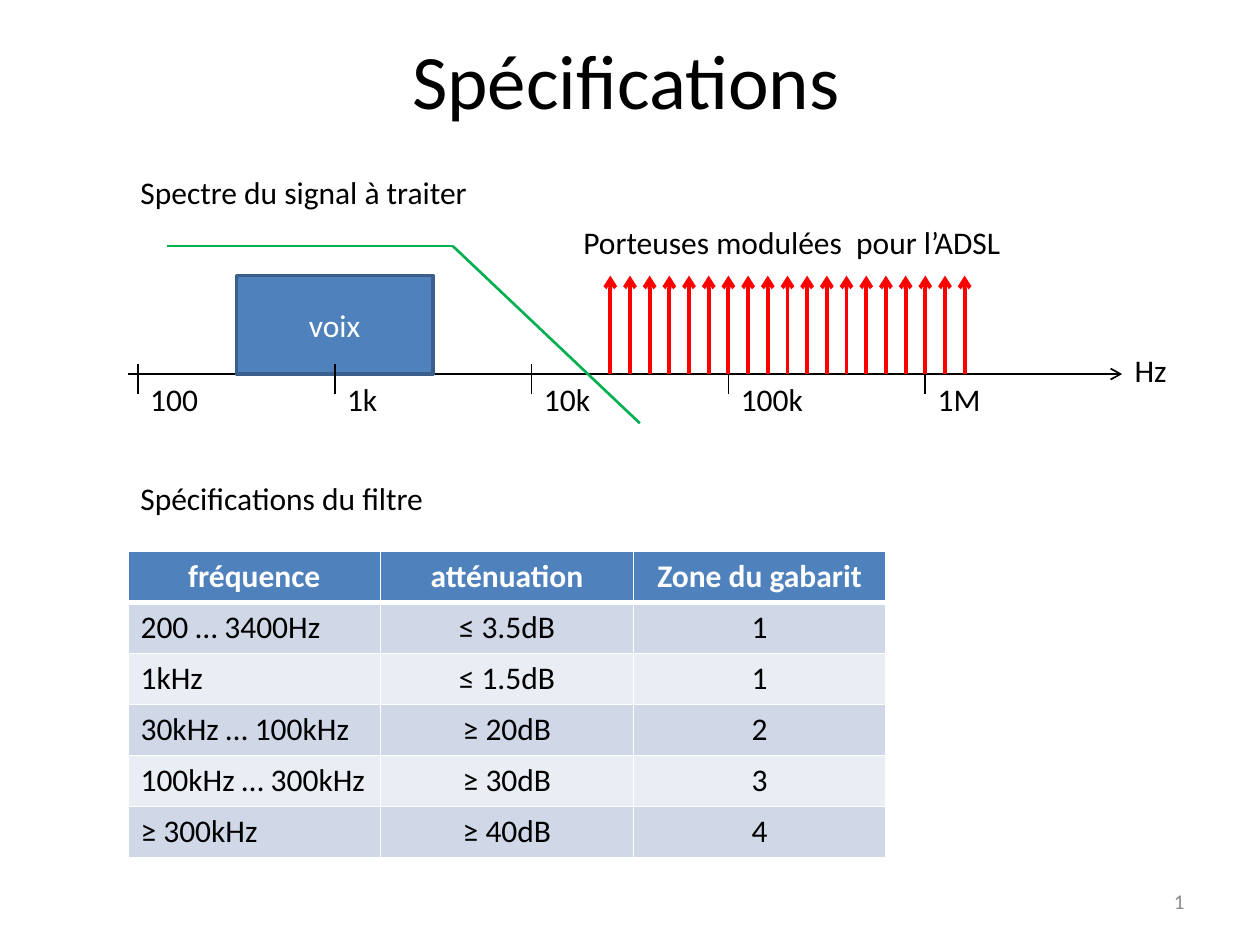
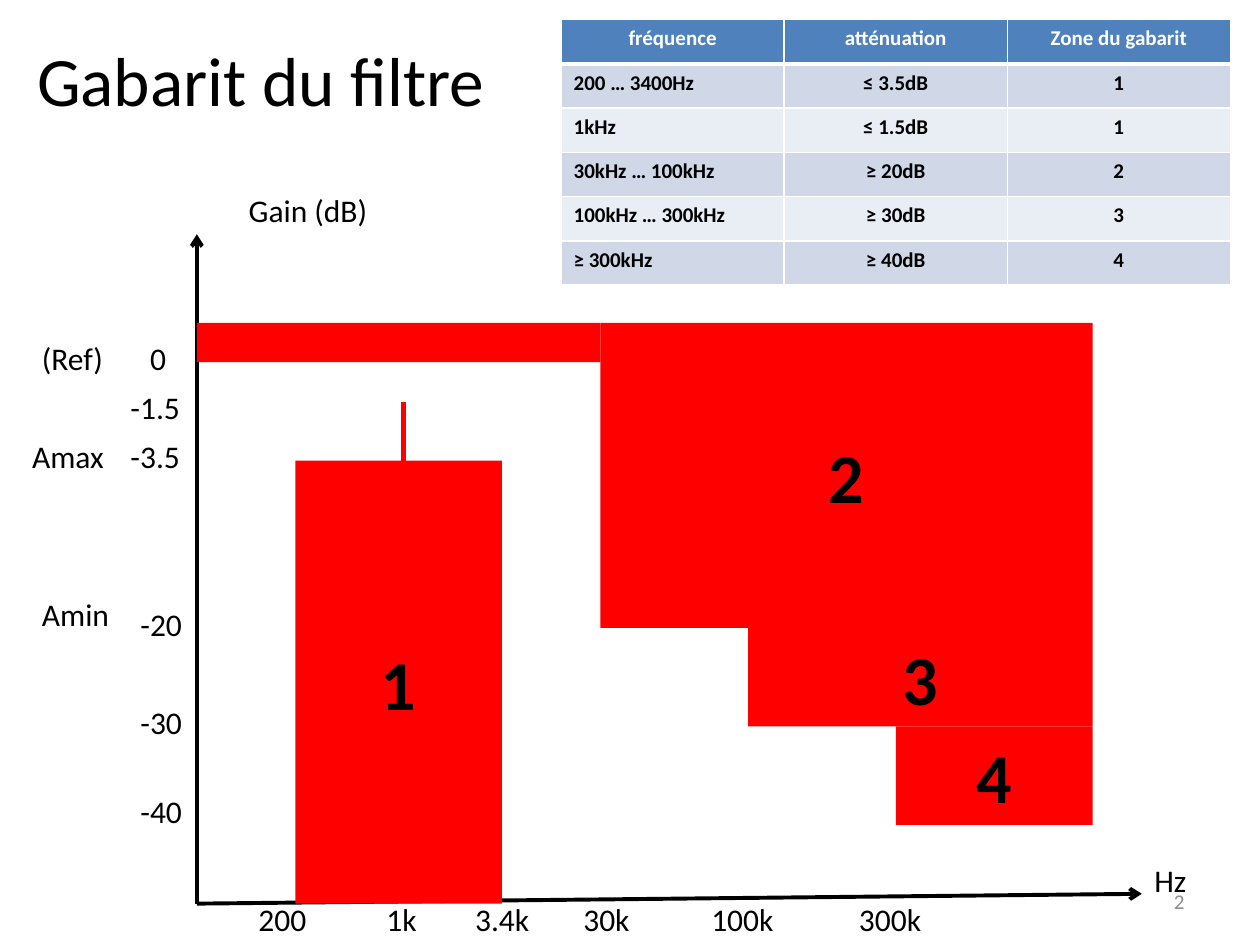
from lxml import etree
from pptx import Presentation
from pptx.dml.color import RGBColor
from pptx.enum.shapes import MSO_CONNECTOR, MSO_SHAPE
from pptx.enum.text import MSO_ANCHOR, PP_ALIGN
from pptx.oxml.ns import qn
from pptx.util import Inches, Pt

STRAIGHT = MSO_CONNECTOR.STRAIGHT
RECTANGLE = MSO_SHAPE.RECTANGLE
LEFT, CENTER, RIGHT = PP_ALIGN.LEFT, PP_ALIGN.CENTER, PP_ALIGN.RIGHT
MIDDLE = MSO_ANCHOR.MIDDLE

SLIDE_WIDTH, SLIDE_HEIGHT = 10, 7.5
CELL = SLIDE_WIDTH / 128  # the slide is a grid of 128 columns by 96 rows
FONT = "Calibri"
BLACK, WHITE, GREY = "000000", "FFFFFF", "8C8C8C"
RED, GREEN = "FF0000", "00B050"
BLUE, DARK_BLUE = "4F81BD", "3A5F8C"
BANDS = ("D0D8E8", "E9EDF4")
LABEL_HEIGHT = 5.1

SPECIFICATIONS = [
    ("fréquence", "atténuation", "Zone du gabarit"),
    ("200 … 3400Hz", "≤ 3.5dB", "1"),
    ("1kHz", "≤ 1.5dB", "1"),
    ("30kHz … 100kHz", "≥ 20dB", "2"),
    ("100kHz … 300kHz", "≥ 30dB", "3"),
    ("≥ 300kHz", "≥ 40dB", "4"),
]


def grid(*cells):
    """Turn counts of grid cells into lengths."""
    return [Inches(count * CELL) for count in cells]


def color(hex_string):
    return RGBColor.from_string(hex_string)


def format_paragraph(paragraph, size, hex_string=BLACK, bold=False, align=LEFT):
    paragraph.alignment = align
    font = paragraph.font
    font.name, font.size, font.bold = FONT, Pt(size), bold
    font.color.rgb = color(hex_string)


def add_label(slide, text, column, row, width):
    box = slide.shapes.add_textbox(*grid(column, row, width, LABEL_HEIGHT))
    box.text_frame.word_wrap = False
    box.text_frame.text = text
    format_paragraph(box.text_frame.paragraphs[0], 18)


def add_slide_number(slide, number):
    box = slide.shapes.add_textbox(*grid(91.75, 89, 29.85, LABEL_HEIGHT))
    box.text_frame.word_wrap = True
    box.text_frame.vertical_anchor = MIDDLE
    paragraph = box.text_frame.paragraphs[0]
    format_paragraph(paragraph, 12, GREY, align=RIGHT)
    field = etree.SubElement(paragraph._p, qn("a:fld"), type="slidenum",
                             id="{B6F15528-21DE-4FAA-801E-634DDDAF4B2B}")
    properties = etree.SubElement(field, qn("a:rPr"), lang="fr-FR", sz="1200")
    fill = etree.SubElement(properties, qn("a:solidFill"))
    etree.SubElement(fill, qn("a:srgbClr"), val=GREY)
    etree.SubElement(properties, qn("a:latin"), typeface=FONT)
    etree.SubElement(field, qn("a:t")).text = str(number)


def add_titled_slide(presentation, title, column, width, size):
    slide = presentation.slides.add_slide(presentation.slide_layouts[5])
    shape = slide.shapes.title
    shape.left, shape.top, shape.width, shape.height = grid(column, 0, width, 16)
    shape.text_frame.text = title
    shape.text_frame.vertical_anchor = MIDDLE
    format_paragraph(shape.text_frame.paragraphs[0], size, align=CENTER)
    add_slide_number(slide, len(presentation.slides) + 1)
    return slide


def add_line(slide, start, end, hex_string=BLACK, width=1, arrow=False):
    connector = slide.shapes.add_connector(STRAIGHT, *grid(*start, *end))
    connector.line.color.rgb = color(hex_string)
    connector.line.width = Pt(width)
    if arrow:
        etree.SubElement(connector.line._get_or_add_ln(), qn("a:tailEnd"), type="arrow")
    etree.SubElement(connector._element.spPr, qn("a:effectLst"))


def add_block(slide, text, box, fill, size, text_color=BLACK, bold=False, outline=None):
    shape = slide.shapes.add_shape(RECTANGLE, *grid(*box))
    shape.shadow.inherit = False
    shape.fill.solid()
    shape.fill.fore_color.rgb = color(fill)
    if outline:
        shape.line.color.rgb = color(outline)
        shape.line.width = Pt(2)
    else:
        shape.line.fill.background()
    if text:
        shape.text_frame.text = text
        shape.text_frame.vertical_anchor = MIDDLE
        format_paragraph(shape.text_frame.paragraphs[0], size, text_color, bold, CENTER)


def add_zone(slide, text, *box):
    add_block(slide, text, box, RED, 40, bold=True)


def set_borders(cell, is_header, is_below_header):
    thick = {"lnB": is_header, "lnT": is_below_header}
    for side in ("lnL", "lnR", "lnT", "lnB"):
        width = Pt(3 if thick.get(side) else 1)
        line = etree.SubElement(cell._tc.get_or_add_tcPr(), qn(f"a:{side}"), w=str(width))
        fill = etree.SubElement(line, qn("a:solidFill"))
        etree.SubElement(fill, qn("a:srgbClr"), val=WHITE)


def add_specification_table(slide, box, size, bold_body):
    row_count, column_count = len(SPECIFICATIONS), len(SPECIFICATIONS[0])
    table = slide.shapes.add_table(row_count, column_count, *grid(*box)).table
    for row, texts in enumerate(SPECIFICATIONS):
        is_header = row == 0
        for column, text in enumerate(texts):
            cell = table.cell(row, column)
            set_borders(cell, is_header, row == 1)
            cell.fill.solid()
            cell.fill.fore_color.rgb = color(BLUE if is_header else BANDS[(row - 1) % 2])
            cell.text = text
            format_paragraph(cell.text_frame.paragraphs[0], size,
                             WHITE if is_header else BLACK, is_header or bold_body,
                             CENTER if is_header or column else LEFT)


def build_spectrum_slide(presentation):
    slide = add_titled_slide(presentation, "Spécifications", 6, 115.2, 44)
    axis_row, signal_top, decade = 38, 28, 20

    add_line(slide, (13, axis_row), (114, axis_row), arrow=True)
    add_label(slide, "Hz", 114, 35, 5.9)
    add_block(slide, "voix", (24, signal_top, decade, 10), BLUE, 18, WHITE,
              outline=DARK_BLUE)

    decades = [("100", 7.5), ("1k", 5.6), ("10k", 7.3), ("100k", 9), ("1M", 7)]
    for index, (text, width) in enumerate(decades):
        column = 14 + index * decade
        add_line(slide, (column, axis_row - 1), (column, axis_row + 2))
        add_label(slide, text, column, axis_row, width)

    for carrier in range(62, 99, 2):
        add_line(slide, (carrier, axis_row), (carrier, signal_top), RED, 2.25, arrow=True)

    add_label(slide, "Porteuses modulées  pour l’ADSL", 58, 22, 45.4)
    add_label(slide, "Spectre du signal à traiter", 13, 17, 36.2)
    add_label(slide, "Spécifications du filtre", 13, 48, 31.7)
    add_specification_table(slide, (13, 56, 77, 31.1), 18, bold_body=False)

    cutoff = (46, 25)
    add_line(slide, (17, 25), cutoff, GREEN, 1.5)
    add_line(slide, cutoff, (65, 43), GREEN, 1.5)


def build_template_slide(presentation):
    slide = add_titled_slide(presentation, "Gabarit du filtre", 0, 53, 39.6)
    axis_column, axis_row = 20, 91.8

    add_zone(slide, "2", 61, 32.8, 50, 31)
    add_zone(slide, "3", 76, 63.8, 35, 10)
    add_zone(slide, "4", 91, 73.8, 20, 10)
    add_line(slide, (axis_column, axis_row), (axis_column, 23.8), width=2.25, arrow=True)
    add_line(slide, (axis_column, axis_row), (116, axis_row - 1), width=2.25, arrow=True)
    add_zone(slide, "1", 30, 46.8, 21, 45)
    add_zone(slide, "", axis_column, 32.8, 41, 4)
    add_line(slide, (41, 46.8), (41, 40.8), RED, 3)

    add_label(slide, "Gain (dB)", 24, 18.8, 14.8)
    add_label(slide, "Hz", 116, 86.8, 5.9)
    gain_labels = [
        ("0", 14, 33.8, 4.2), ("-1.5", 12, 38.8, 7.7), ("-3.5", 12, 43.8, 7.7),
        ("-20", 13, 60.8, 6.9), ("-30", 13, 70.8, 6.9), ("-40", 13, 79.8, 6.9),
        ("(Ref)", 3, 33.8, 8.8), ("Amax", 2, 43.8, 10), ("Amin", 3, 59.8, 9.5),
    ]
    for label in gain_labels:
        add_label(slide, *label)
    frequencies = [("200", 25, 7.5), ("1k", 38, 5.6), ("3.4k", 47, 8.1),
                   ("30k", 58, 7.3), ("100k", 71, 9), ("300k", 86, 9)]
    for text, column, width in frequencies:
        add_label(slide, text, column, axis_row - 1, width)

    add_specification_table(slide, (57, 2, 68, 27), 12, bold_body=True)


def main():
    presentation = Presentation()
    presentation.slide_width = Inches(SLIDE_WIDTH)
    presentation.slide_height = Inches(SLIDE_HEIGHT)
    build_spectrum_slide(presentation)
    build_template_slide(presentation)
    presentation.save("out.pptx")


if __name__ == "__main__":
    main()
